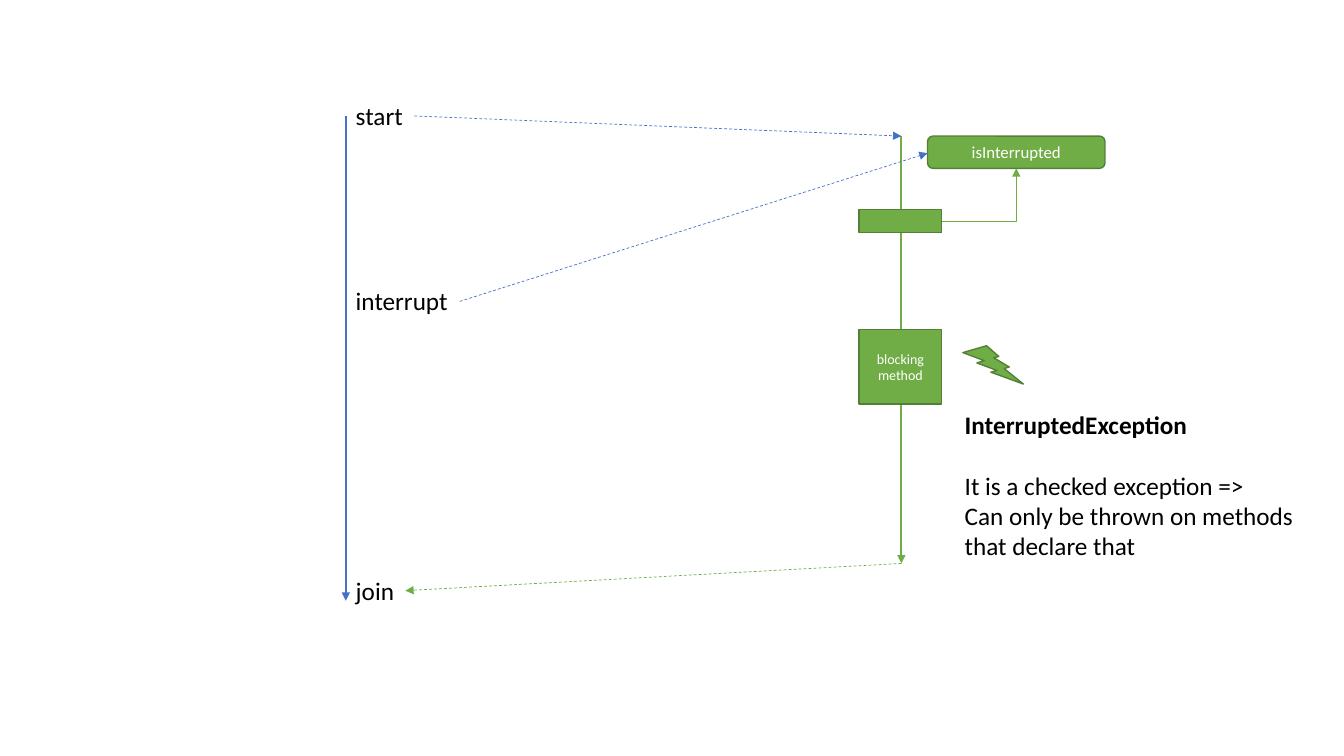
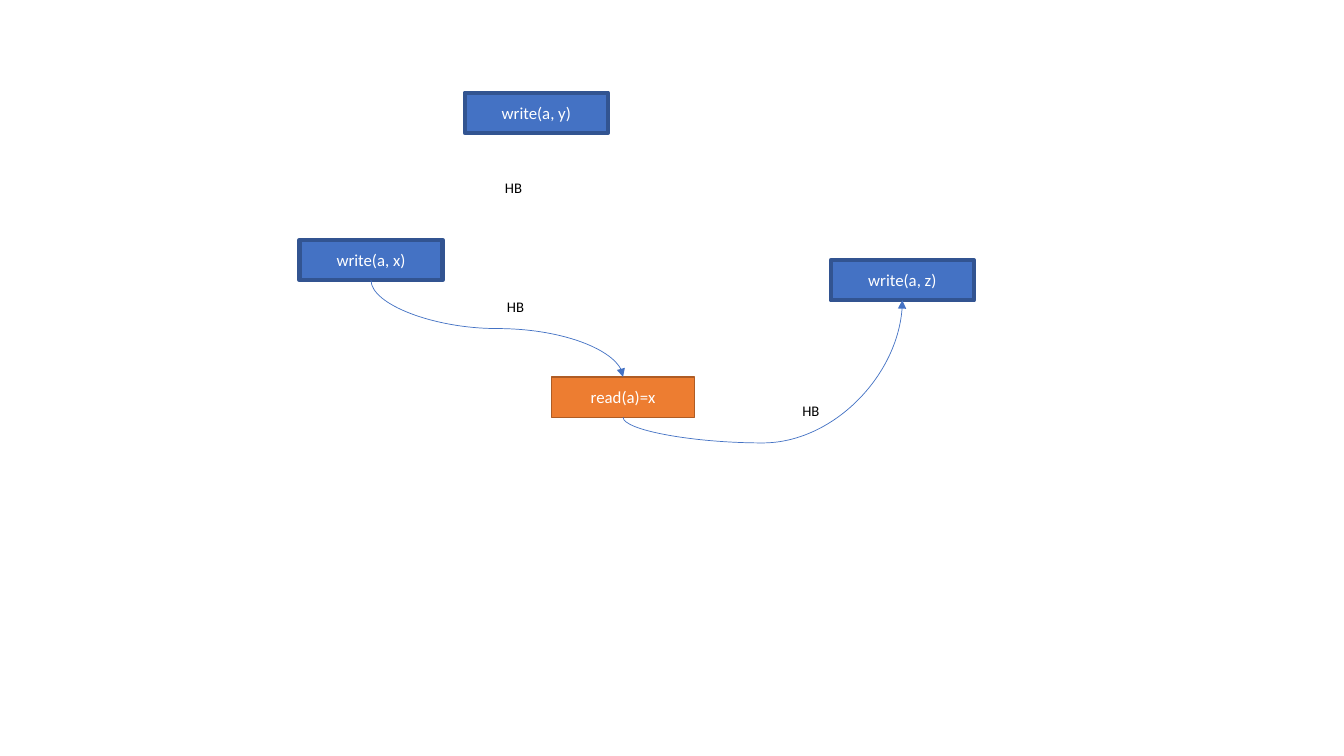
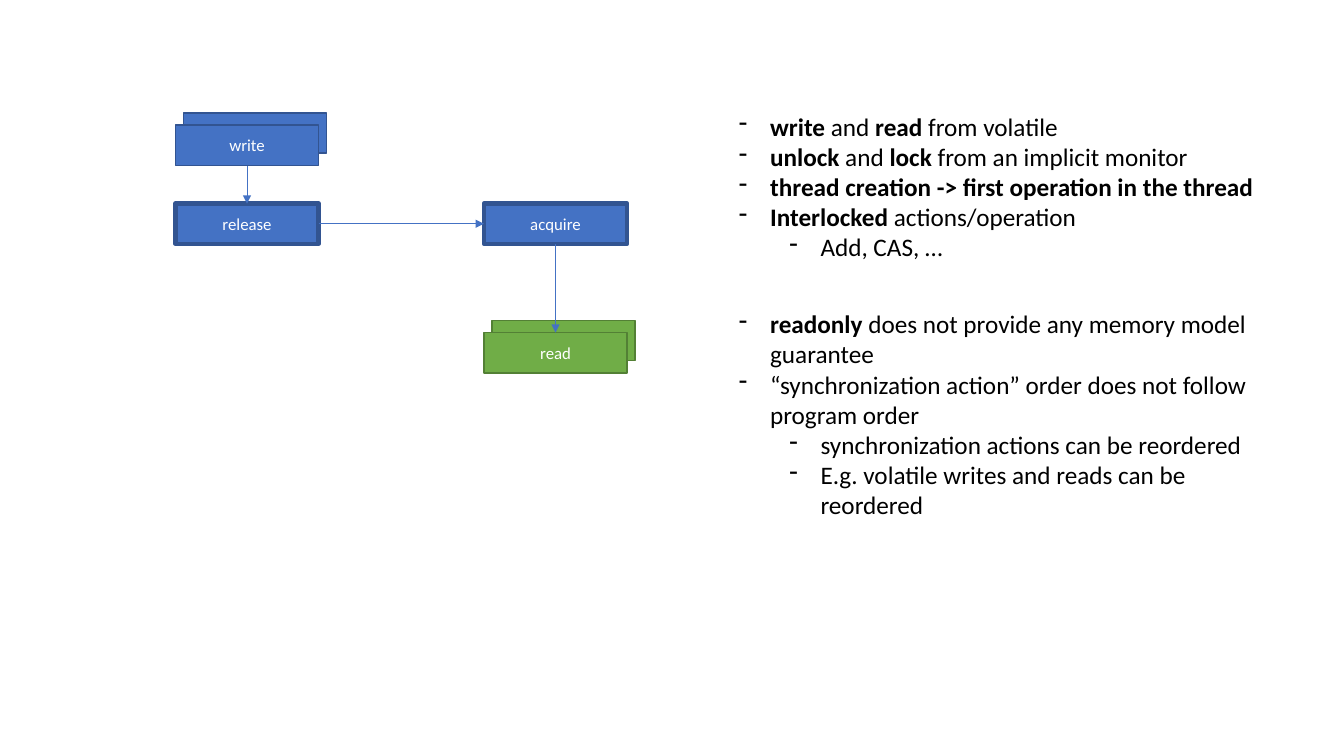
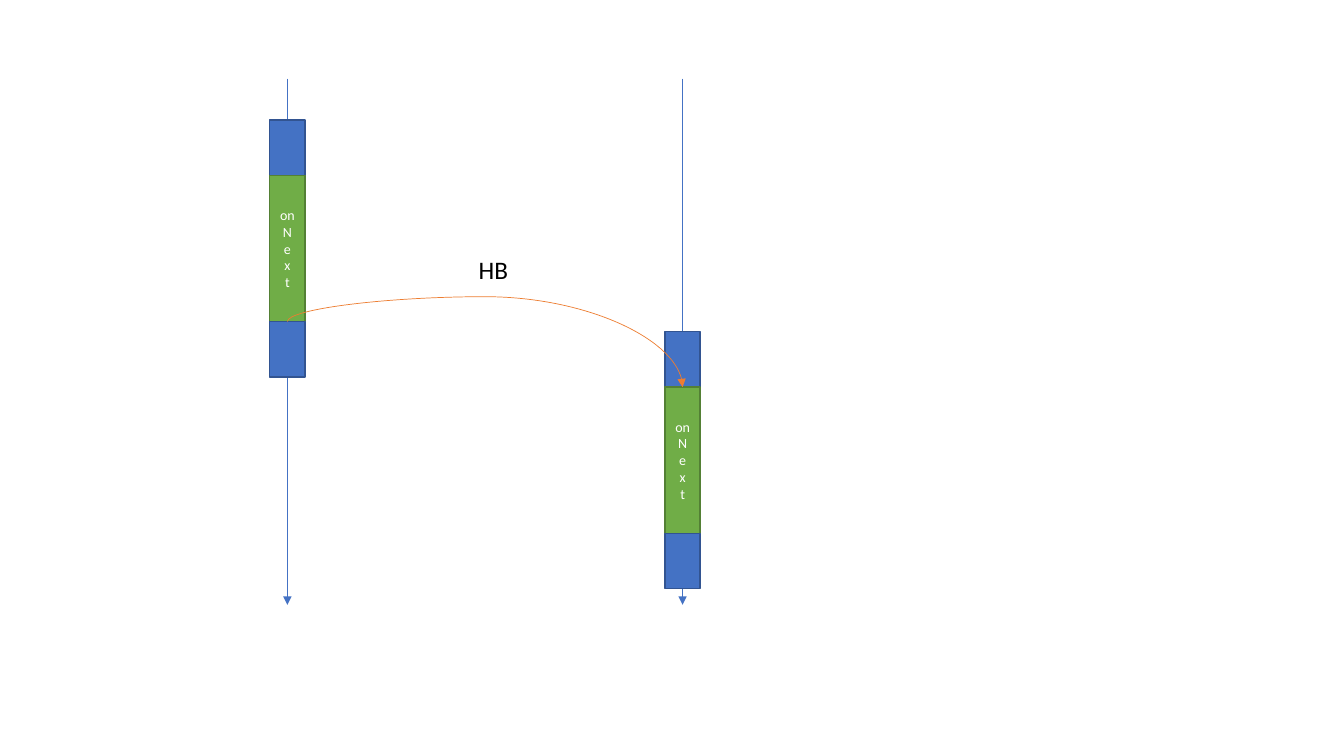
"""Build four slides on thread interruption and happens-before diagrams."""
from dataclasses import dataclass
from typing import NamedTuple, Optional

from lxml import etree
from pptx import Presentation
from pptx import util as u
from pptx.dml.color import RGBColor
from pptx.enum import dml, shapes, text
from pptx.oxml import ns


class Paint(NamedTuple):
    fill: str
    edge: str


@dataclass(frozen=True)
class Theme:
    font: str = "Calibri"
    blue: Paint = Paint("4472C4", "325491")
    green: Paint = Paint("70AD47", "538035")
    orange: Paint = Paint("ED7D31", "AF5C24")
    ink: str = "000000"
    paper: str = "FFFFFF"
    body: float = 18
    box: float = 12
    tag: float = 10.5
    small: float = 10
    thin: float = 0.5
    edge: float = 1
    axis: float = 1.5
    heavy: float = 3


T = Theme()
RECT = shapes.MSO_SHAPE.RECTANGLE
BOX_W, BOX_H = 1.42, 0.4


@dataclass(frozen=True)
class Box:
    x: float
    y: float
    paint: Paint
    label: str = ""
    w: float = BOX_W
    h: float = BOX_H
    edge: float = T.edge
    size: float = T.box
    kind: shapes.MSO_SHAPE = RECT


@dataclass(frozen=True)
class Arrow:
    x1: float
    y1: float
    x2: float
    y2: float
    color: str = T.blue.fill
    width: float = T.thin
    dashed: bool = False


class Run(NamedTuple):
    words: str
    bold: bool = False


@dataclass(frozen=True)
class Para:
    runs: tuple[Run, ...]
    level: Optional[int] = None
    before: float = 0


@dataclass(frozen=True)
class Label:
    x: float
    y: float
    w: float
    h: float
    paras: tuple[Para, ...]
    size: float = T.body
    wrap: bool = False


def rgb(color: str) -> RGBColor:
    return RGBColor.from_string(color)


def add_run(p, words: str, size: float, color: str, bold: bool = False) -> None:
    r = p.add_run()
    r.text = words
    r.font.name, r.font.size, r.font.bold = T.font, u.Pt(size), bold
    r.font.color.rgb = rgb(color)


def add_box(s, box: Box):
    sp = s.shapes.add_shape(box.kind, *map(u.Inches, (box.x, box.y, box.w, box.h)))
    sp.shadow.inherit = False
    sp.fill.solid()
    sp.fill.fore_color.rgb = rgb(box.paint.fill)
    sp.line.color.rgb = rgb(box.paint.edge)
    sp.line.width = u.Pt(box.edge)
    if box.label:
        tf = sp.text_frame
        tf.word_wrap = True
        tf.vertical_anchor = text.MSO_ANCHOR.MIDDLE
        p = tf.paragraphs[0]
        p.alignment = text.PP_ALIGN.CENTER
        for i, words in enumerate(box.label.split("\n")):
            if i:
                p.add_line_break()
            add_run(p, words, box.size, T.paper)
    return sp


def add_label(s, label: Label) -> None:
    sp = s.shapes.add_textbox(*map(u.Inches, (label.x, label.y, label.w, label.h)))
    tf = sp.text_frame
    tf.word_wrap = label.wrap
    tf.auto_size = text.MSO_AUTO_SIZE.SHAPE_TO_FIT_TEXT
    for i, para in enumerate(label.paras):
        p = tf.add_paragraph() if i else tf.paragraphs[0]
        if para.before:
            p.space_before = u.Pt(para.before)
        if para.level is not None:
            p.level = para.level
            pr = p._p.get_or_add_pPr()
            pr.set("marL", str(u.Inches(0.31 + 0.5 * para.level)))
            pr.set("indent", str(u.Inches(-0.31)))
            etree.SubElement(pr, ns.qn("a:buChar"), char="-")
        for run in para.runs:
            add_run(p, run.words, label.size, T.ink, run.bold)


def style_line(c, color: str, width: float, dashed: bool = False) -> None:
    c.line.color.rgb = rgb(color)
    c.line.width = u.Pt(width)
    if dashed:
        c.line.dash_style = dml.MSO_LINE.DASH
    etree.SubElement(c.line._get_or_add_ln(), ns.qn("a:tailEnd"), type="triangle")
    etree.SubElement(c._element.spPr, ns.qn("a:effectLst"))


def add_arrow(s, a: Arrow) -> None:
    ends = map(u.Inches, (a.x1, a.y1, a.x2, a.y2))
    c = s.shapes.add_connector(shapes.MSO_CONNECTOR.STRAIGHT, *ends)
    style_line(c, a.color, a.width, a.dashed)


def join(s, kind, start, start_site: int, end, end_site: int, color: str):
    c = s.shapes.add_connector(kind, 0, 0, 0, 0)
    c.begin_connect(start, start_site)
    c.end_connect(end, end_site)
    style_line(c, color, T.thin)
    return c


def add_elbow(s, start, start_site: int, end, end_site: int, color: str) -> None:
    c = join(s, shapes.MSO_CONNECTOR.ELBOW, start, start_site, end, end_site, color)
    c._element.spPr.find(ns.qn("a:prstGeom")).set("prst", "bentConnector2")


def add_curve(s, start, start_site: int, end, end_site: int, turn: int,
              flip_v: bool = False, bend: float = 0.5, color: str = T.blue.fill) -> None:
    c = join(s, shapes.MSO_CONNECTOR.CURVE, start, start_site, end, end_site, color)
    mid_x, mid_y = (c.begin_x + c.end_x) // 2, (c.begin_y + c.end_y) // 2
    c.width, c.height = abs(c.end_y - c.begin_y), abs(c.end_x - c.begin_x)
    c.left, c.top = mid_x - c.width // 2, mid_y - c.height // 2
    xfrm = c._element.spPr.find(ns.qn("a:xfrm"))
    xfrm.set("rot", str(turn * 60000))
    xfrm.set("flipH", "1")
    xfrm.set("flipV", str(int(flip_v)))
    geom = c._element.spPr.find(ns.qn("a:prstGeom"))
    guides = geom.find(ns.qn("a:avLst"))
    if guides is None:
        guides = etree.SubElement(geom, ns.qn("a:avLst"))
    etree.SubElement(guides, ns.qn("a:gd"), name="adj1", fmla=f"val {round(bend * 100000)}")


def plain(words: str, level: Optional[int] = None, before: float = 0) -> Para:
    return Para((Run(words),), level, before)


def interruption(s) -> None:
    main_x, worker_x, work_x, work_w = 3.43, 8.94, 8.52, 0.82
    green = T.green.fill
    for a in (
        Arrow(main_x, 1.15, main_x, 5.96, width=T.axis),
        Arrow(worker_x, 1.35, worker_x, 5.59, green, T.axis),
        Arrow(4.11, 1.15, worker_x, 1.35, dashed=True),
        Arrow(worker_x, 5.59, 4.02, 5.86, green, dashed=True),
    ):
        add_arrow(s, a)
    for words, y, w in (("start", 0.95, 0.67), ("join", 5.66, 0.59), ("interrupt", 2.78, 1.12)):
        add_label(s, Label(main_x, y, w, 0.4, (plain(words),)))
    flag = add_box(s, Box(9.2, 1.35, T.green, "isInterrupted", 1.76, 0.32,
                          kind=shapes.MSO_SHAPE.ROUNDED_RECTANGLE))
    add_arrow(s, Arrow(4.56, 2.99, 9.2, 1.52, dashed=True))
    check = add_box(s, Box(work_x, 2.08, T.green, w=work_w, h=0.23))
    add_elbow(s, check, 3, flag, 2, green)
    add_box(s, Box(work_x, 3.27, T.green, "blocking\nmethod", work_w, 0.74, size=T.small))
    add_box(s, Box(9.55, 3.43, T.green, w=0.6, h=0.38, kind=shapes.MSO_SHAPE.LIGHTNING_BOLT))
    add_label(s, Label(9.47, 4.01, 3.5, 1.92, (
        Para((Run("InterruptedException", True),)),
        plain("It is a checked exception =>", before=22),
        plain("Can only be thrown on methods"),
        plain("that declare that"),
    )))


def write_order(s) -> None:
    read = add_box(s, Box(5.47, 3.74, T.orange, "read(a)=x"))
    write_x, _, write_z = [
        add_box(s, Box(x, y, T.blue, f"write(a, {value})", edge=T.heavy))
        for value, x, y in (("x", 2.97, 2.38), ("y", 4.61, 0.92), ("z", 8.24, 2.58))
    ]
    add_curve(s, write_x, 2, read, 0, 270)
    add_curve(s, read, 2, write_z, 2, 90, flip_v=True, bend=-0.22)
    for x, y in ((4.93, 2.91), (7.86, 3.94), (4.91, 1.72)):
        add_label(s, Label(x, y, 0.38, 0.29, (plain("HB"),), T.tag))


def release_acquire(s) -> None:
    left, right, offset_x, offset_y = 1.74, 4.8, 0.08, 0.12
    for words, x, y, paint in (("write", left, 1.24, T.blue), ("read", right, 3.3, T.green)):
        add_box(s, Box(x + offset_x, y - offset_y, paint))
        add_box(s, Box(x, y, paint, words))
    for words, x in (("release", left), ("acquire", right)):
        add_box(s, Box(x, 2.02, T.blue, words, edge=T.heavy))
    for a in (
        Arrow(2.45, 1.65, 2.45, 2.02),
        Arrow(3.16, 2.22, right, 2.22),
        Arrow(5.51, 2.42, 5.51, 3.3),
    ):
        add_arrow(s, a)
    add_label(s, Label(7.23, 1.05, 5.35, 2.22, (
        Para((Run("write", True), Run(" and "), Run("read", True), Run(" from volatile")), 0),
        Para((Run("unlock", True), Run(" and "), Run("lock", True),
              Run(" from an implicit monitor")), 0),
        Para((Run("thread creation -> first operation in the thread", True),), 0),
        Para((Run("Interlocked", True), Run(" actions/operation")), 0),
        plain("Add, CAS, …", 1),
    )))
    add_label(s, Label(7.23, 3.01, 5.51, 2.22, (
        Para((Run("readonly", True), Run(" does not provide any memory model guarantee")), 0),
        plain("“synchronization action” order does not follow program order", 0),
        plain("synchronization actions can be reordered", 1),
        plain("E.g. volatile writes and reads can be reordered", 1),
    ), wrap=True))


def on_next(s) -> None:
    bar_w, end_h, call_h = 0.35, 0.55, 1.45
    threads = ((2.85, 1.19), (6.77, 3.29))
    for x, _ in threads:
        add_arrow(s, Arrow(x, 0.78, x, 6))
    bars = []
    for x, y in threads:
        left = x - bar_w / 2
        bars.append([add_box(s, box) for box in (
            Box(left, y, T.blue, w=bar_w, h=end_h),
            Box(left, y + end_h, T.green, "on\nNe\nx\nt", bar_w, call_h, size=T.small),
            Box(left, y + end_h + call_h, T.blue, w=bar_w, h=end_h),
        )])
    add_curve(s, bars[0][2], 0, bars[1][1], 0, 270, bend=-0.38, color=T.orange.fill)
    add_label(s, Label(4.65, 2.47, 0.5, 0.4, (plain("HB"),)))


def main() -> None:
    prs = Presentation()
    prs.slide_width, prs.slide_height = u.Inches(13.33), u.Inches(7.5)
    for draw in (interruption, write_order, release_acquire, on_next):
        draw(prs.slides.add_slide(prs.slide_layouts[6]))
    prs.save("out.pptx")


if __name__ == "__main__":
    main()
